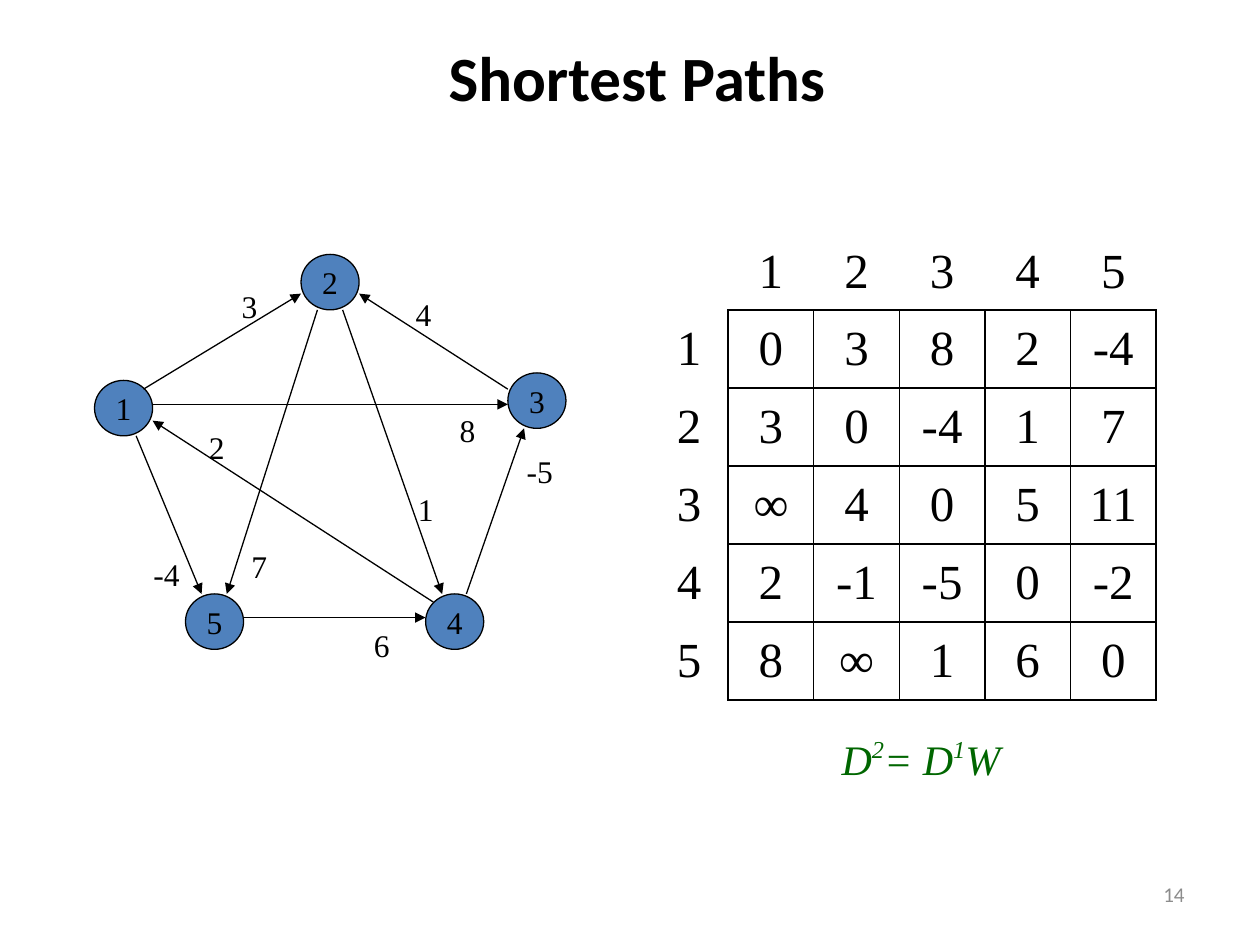
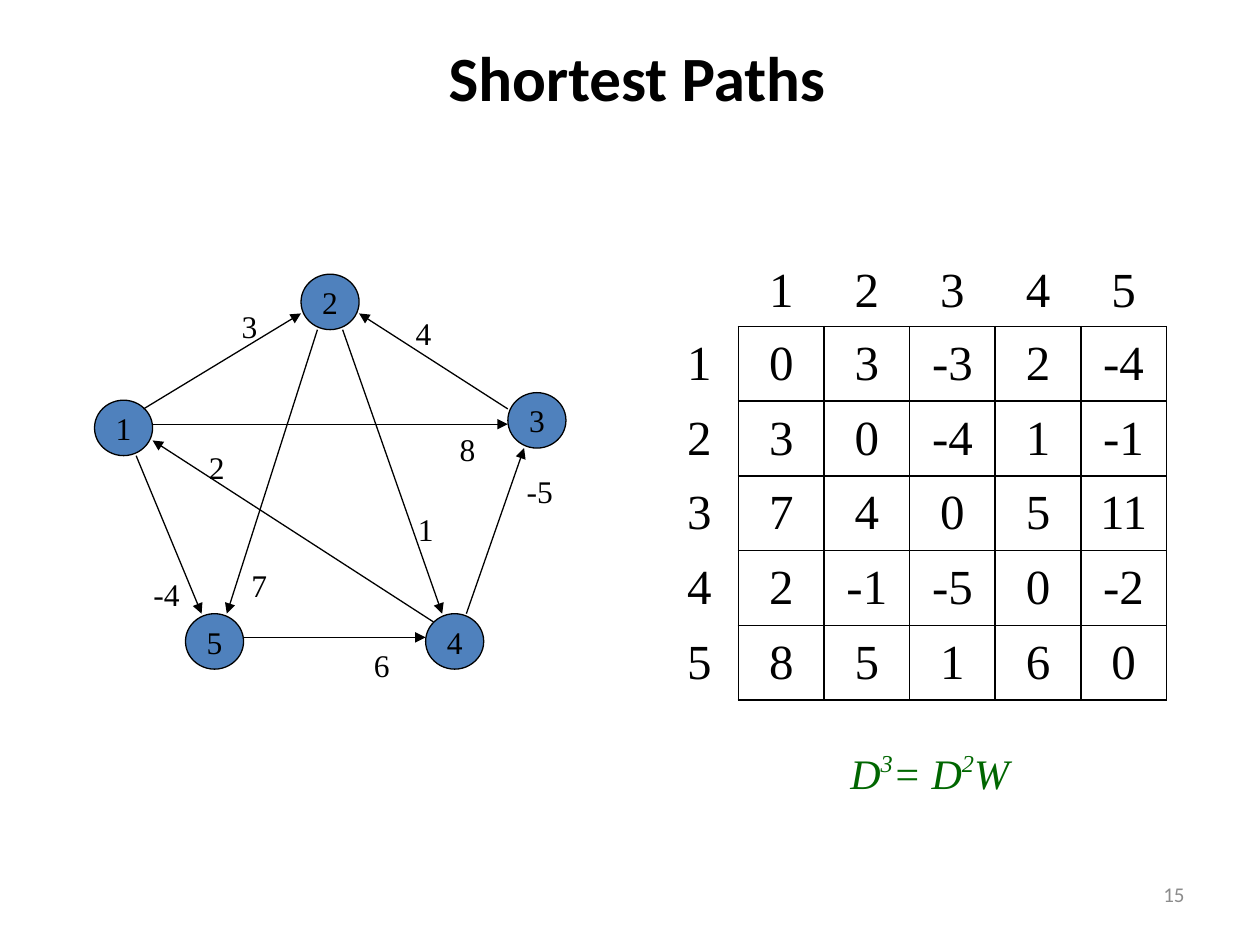
from dataclasses import dataclass

from lxml import etree
from pptx import Presentation
from pptx.dml.color import RGBColor
from pptx.enum import shapes, text
from pptx.oxml import ns
from pptx.util import Pt

TITLE = "Shortest Paths"

NODES = {
    "1": (0, 72),
    "2": (118, 0),
    "3": (236.2, 67.7),
    "4": (189.2, 194),
    "5": (52, 194),
}
NODE_SIZE = (33.2, 31.7)

# weight, start, end, label position
EDGES = [
    ("3", (28, 77), (118, 22.4), (77, 15.1)),
    ("4", (236.2, 77), (151.2, 22.4), (176.4, 19.4)),
    ("-5", (212.5, 194), (245.5, 99.4), (239.8, 109.4)),
    ("6", (85.2, 207.5), (189.2, 207.5), (152.6, 208.8)),
    ("-4", (23.8, 103.7), (61.2, 194), (26.6, 168.5)),
    ("7", (127.4, 31.7), (75.6, 194), (82.6, 163.4)),
    ("1", (141.8, 31.7), (198.7, 194), (177.8, 131)),
    ("2", (193.7, 198.7), (33.2, 95), (58.3, 95.8)),
    ("8", (33.2, 85.7), (236.2, 85.7), (201.6, 85.7)),
]

SLIDES = [
    {
        "number": "14",
        "graph": (54, 145.4),
        "table": (371.5, 134),
        "rows": (43.2, 44.57),
        "formula": (473.8, 415.4),
        "powers": ("2", "1"),
        "distances": [
            ("0", "3", "8", "2", "-4"),
            ("3", "0", "-4", "1", "7"),
            ("∞", "4", "0", "5", "11"),
            ("2", "-1", "-5", "0", "-2"),
            ("8", "∞", "1", "6", "0"),
        ],
    },
    {
        "number": "15",
        "graph": (54, 156.7),
        "table": (377.4, 145.4),
        "rows": (41.2, 42.7),
        "formula": (478.8, 423.4),
        "powers": ("3", "2"),
        "distances": [
            ("0", "3", "-3", "2", "-4"),
            ("3", "0", "-4", "1", "-1"),
            ("7", "4", "0", "5", "11"),
            ("2", "-1", "-5", "0", "-2"),
            ("8", "5", "1", "6", "0"),
        ],
    },
]
COLUMNS = (44.6, 48.9)


@dataclass(frozen=True)
class Theme:
    ink: str = "000000"
    node: str = "4F81BD"
    formula: str = "006600"
    muted: str = "8C8C8C"
    sans: str = "Calibri"
    serif: str = "Times New Roman"
    title_size: float = 36
    cell_size: float = 28
    formula_size: float = 24
    graph_size: float = 18
    number_size: float = 12
    edge_width: float = 0.75
    border_width: float = 1


T = Theme()
ALIGN = text.PP_ALIGN
MIDDLE = text.MSO_ANCHOR.MIDDLE


def rgb(color):
    return RGBColor.from_string(color)


def style(p, size, font=T.serif, color=T.ink, align=ALIGN.CENTER, bold=False, italic=False):
    p.alignment = align
    for r in p.runs:
        f = r.font
        f.size, f.name, f.bold, f.italic = Pt(size), font, bold, italic
        f.color.rgb = rgb(color)


def add_text(parent, box, content, size, wrap=True, **look):
    s = parent.add_textbox(*map(Pt, box))
    tf = s.text_frame
    tf.word_wrap = wrap
    if wrap:
        tf.vertical_anchor = MIDDLE
    else:
        tf.auto_size = text.MSO_AUTO_SIZE.SHAPE_TO_FIT_TEXT
    tf.text = content
    style(tf.paragraphs[0], size, **look)
    return s


def add_node(parent, name, x, y):
    s = parent.add_shape(shapes.MSO_SHAPE.OVAL, *map(Pt, (x, y, *NODE_SIZE)))
    s.shadow.inherit = False
    s.fill.solid()
    s.fill.fore_color.rgb = rgb(T.node)
    s.line.color.rgb = rgb(T.ink)
    s.line.width = Pt(T.edge_width)
    tf = s.text_frame
    tf.word_wrap = False
    tf.vertical_anchor = MIDDLE
    tf.text = name
    style(tf.paragraphs[0], T.graph_size)


def add_arrow(parent, start, end):
    s = parent.add_connector(shapes.MSO_CONNECTOR.STRAIGHT, *map(Pt, (*start, *end)))
    s.line.color.rgb = rgb(T.ink)
    s.line.width = Pt(T.edge_width)
    etree.SubElement(s.line._get_or_add_ln(), ns.qn("a:tailEnd"), type="triangle")
    etree.SubElement(s._element.spPr, ns.qn("a:effectLst"))


def add_graph(slide, origin):
    def place(point):
        return tuple(round(a + b, 2) for a, b in zip(origin, point))

    group = slide.shapes.add_group_shape().shapes
    for name, point in NODES.items():
        add_node(group, name, *place(point))
    for _, start, end, _ in EDGES:
        add_arrow(group, place(start), place(end))
    for weight, _, _, point in EDGES:
        width = 23.8 if len(weight) == 1 else 29.5
        add_text(group, (*place(point), width, 28.8), weight, T.graph_size,
                 wrap=False, align=ALIGN.LEFT)


def set_borders(cell, sides):
    tcPr = cell._tc.get_or_add_tcPr()
    for i, (side, drawn) in enumerate(sides.items()):
        ln = etree.Element(ns.qn(f"a:ln{side}"), w=str(Pt(T.border_width)))
        if drawn:
            fill = etree.SubElement(ln, ns.qn("a:solidFill"))
            etree.SubElement(fill, ns.qn("a:srgbClr"), val=T.ink)
        else:
            etree.SubElement(ln, ns.qn("a:noFill"))
        tcPr.insert(i, ln)


def add_matrix(slide, origin, heights, distances):
    names = list(NODES)
    grid = [["", *names]] + [[n, *row] for n, row in zip(names, distances)]
    count = len(names)
    size = (COLUMNS[0] + count * COLUMNS[1], heights[0] + count * heights[1])
    table = slide.shapes.add_table(count + 1, count + 1, *map(Pt, (*origin, *size))).table
    table.first_row = table.horz_banding = False
    for i in range(count + 1):
        table.columns[i].width = Pt(COLUMNS[min(i, 1)])
        table.rows[i].height = Pt(heights[min(i, 1)])
    for i, row in enumerate(grid):
        for j, value in enumerate(row):
            cell = table.cell(i, j)
            cell.fill.background()
            cell.vertical_anchor = MIDDLE
            cell.text_frame.text = value
            style(cell.text_frame.paragraphs[0], T.cell_size)
            inner = i > 0 and j > 0
            set_borders(cell, {"L": inner, "R": i > 0, "T": inner, "B": j > 0})


def add_formula(slide, origin, powers):
    s = add_text(slide.shapes, (*origin, 113.8, 36), "", T.formula_size, wrap=False)
    p = s.text_frame.paragraphs[0]
    for content, raised in (("D", False), (powers[0], True), ("= D", False),
                            (powers[1], True), ("W", False)):
        r = p.add_run()
        r.text = content
        if raised:
            r._r.get_or_add_rPr().set("baseline", "40000")
    style(p, T.formula_size, color=T.formula, align=ALIGN.LEFT, italic=True)


def main():
    prs = Presentation()
    prs.slide_width, prs.slide_height = Pt(720), Pt(540)
    for data in SLIDES:
        slide = prs.slides.add_slide(prs.slide_layouts[6])
        add_text(slide.shapes, (40, 21.6, 648, 44), TITLE, T.title_size, font=T.sans, bold=True)
        add_matrix(slide, data["table"], data["rows"], data["distances"])
        add_formula(slide, data["formula"], data["powers"])
        add_graph(slide, data["graph"])
        add_text(slide.shapes, (516, 492, 168, 37.4), data["number"], T.number_size,
                 font=T.sans, color=T.muted, align=ALIGN.RIGHT)
    prs.save("out.pptx")


if __name__ == "__main__":
    main()
